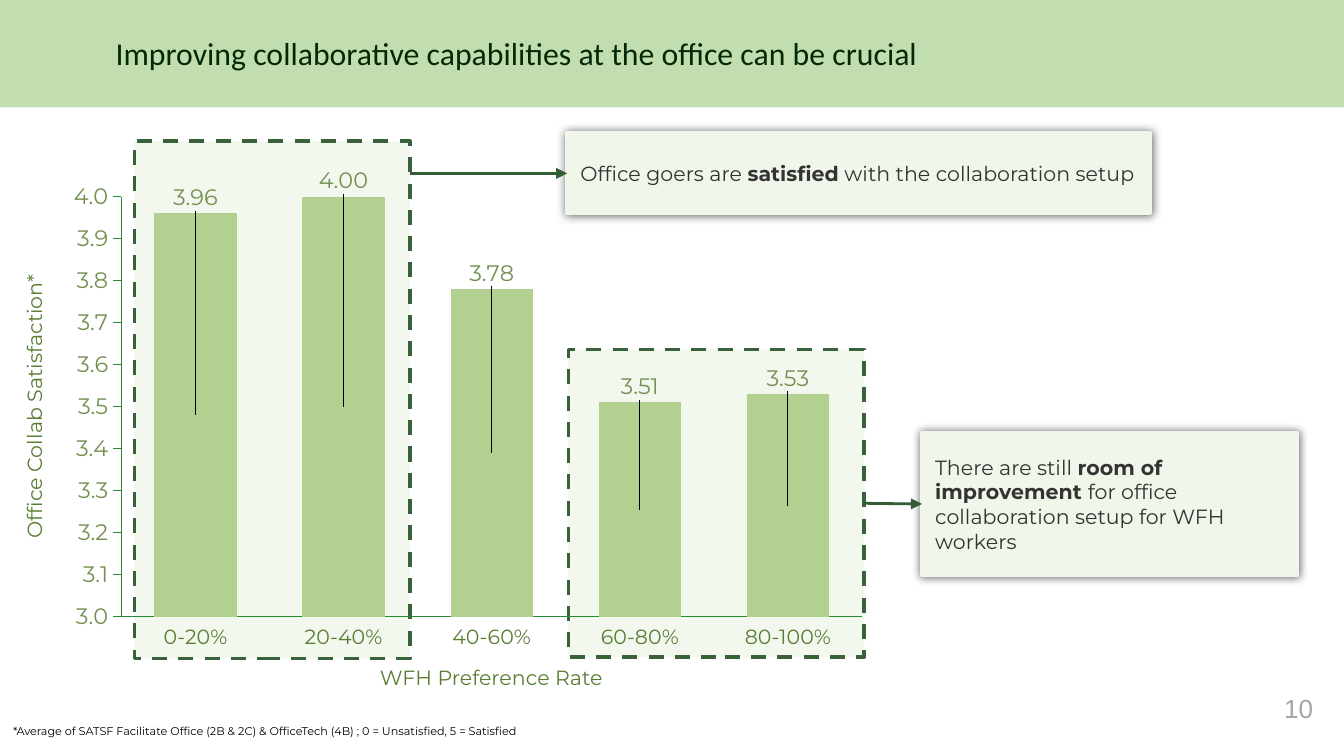
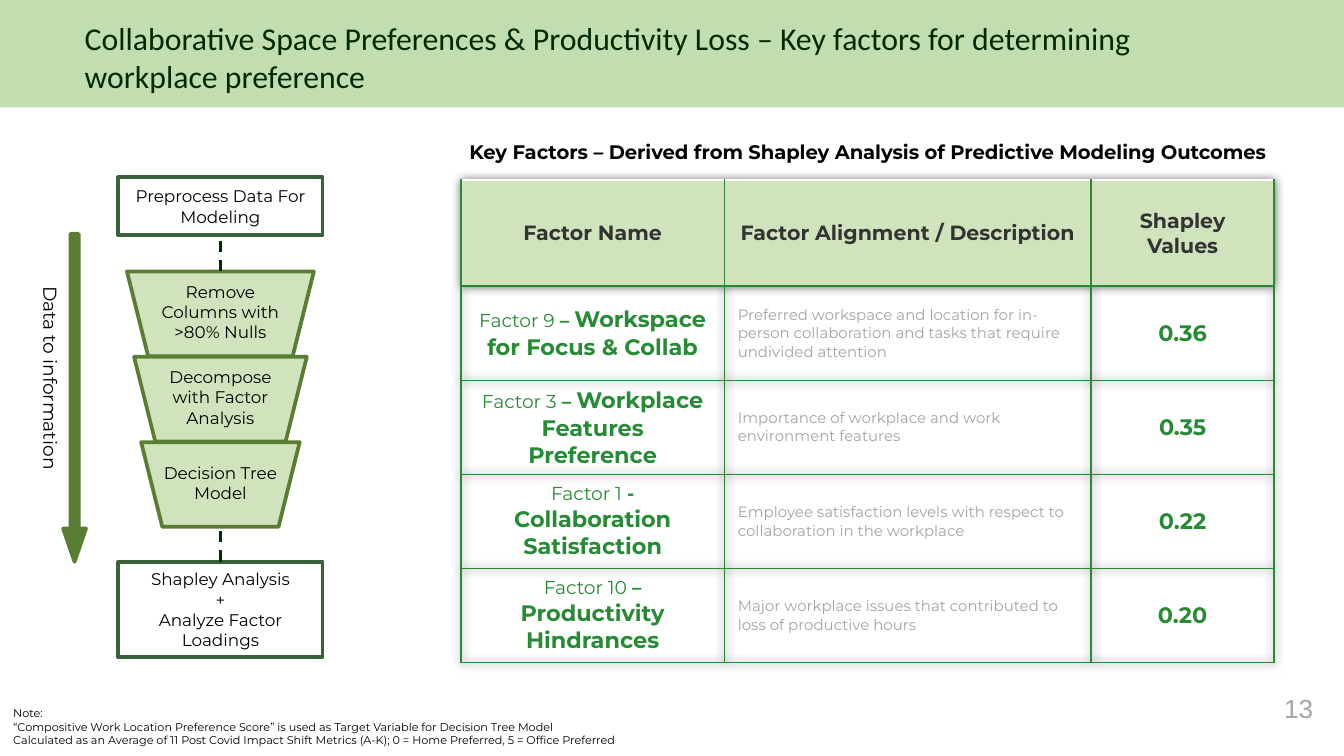
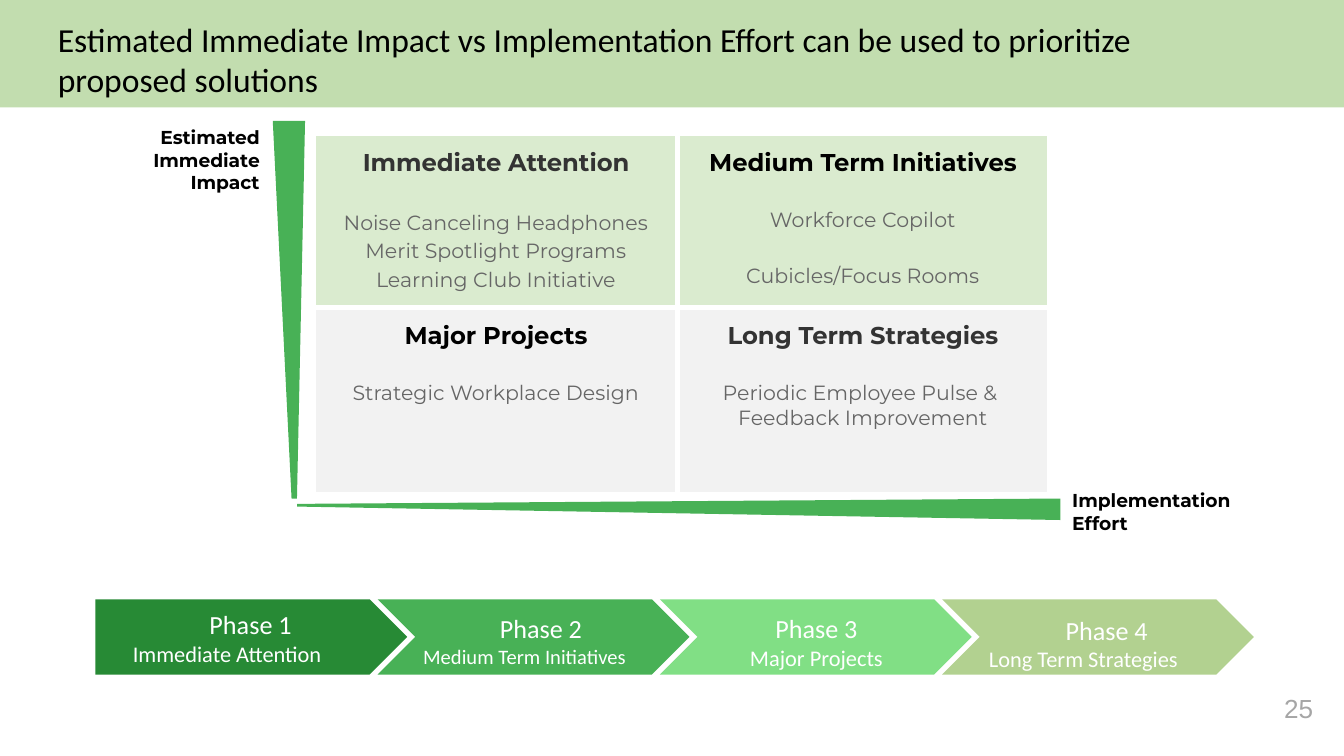
from collections import namedtuple
from dataclasses import dataclass

from lxml import etree
from pptx import Presentation
from pptx.chart.data import CategoryChartData
from pptx.dml.color import RGBColor
from pptx.enum.chart import XL_CHART_TYPE, XL_TICK_LABEL_POSITION, XL_TICK_MARK
from pptx.enum.dml import MSO_LINE
from pptx.enum.shapes import MSO_CONNECTOR, MSO_SHAPE
from pptx.enum.text import MSO_ANCHOR, MSO_AUTO_SIZE, PP_ALIGN
from pptx.oxml import parse_xml
from pptx.oxml.ns import nsdecls, qn
from pptx.util import Inches, Pt

LEFT, CENTER, RIGHT = PP_ALIGN.LEFT, PP_ALIGN.CENTER, PP_ALIGN.RIGHT
TOP, MIDDLE = MSO_ANCHOR.TOP, MSO_ANCHOR.MIDDLE
DASH = MSO_LINE.DASH
RECT, TRAPEZOID = MSO_SHAPE.RECTANGLE, MSO_SHAPE.TRAPEZOID
CHEVRON, PENTAGON = MSO_SHAPE.CHEVRON, MSO_SHAPE.PENTAGON
DOWN_ARROW = MSO_SHAPE.DOWN_ARROW
STRAIGHT = MSO_CONNECTOR.STRAIGHT
STACKED = XL_CHART_TYPE.COLUMN_STACKED
NO_LABELS = XL_TICK_LABEL_POSITION.NONE
TICK_NONE, TICK_OUT = XL_TICK_MARK.NONE, XL_TICK_MARK.OUTSIDE

Box = namedtuple("Box", "left top width height")
Run = namedtuple("Run", "text size bold")


def rgb(code):
    return RGBColor.from_string(code)


@dataclass(frozen=True)
class Theme:
    body_font: str = "Montserrat"
    title_font: str = "Calibri"
    number_font: str = "Arial"
    band: RGBColor = rgb("C2DDAF")
    title: RGBColor = rgb("032A06")
    black: RGBColor = rgb("000000")
    white: RGBColor = rgb("FFFFFF")
    ink: RGBColor = rgb("333333")
    muted: RGBColor = rgb("666666")
    faint: RGBColor = rgb("A3A3A3")
    page: RGBColor = rgb("A6A6A6")
    green: RGBColor = rgb("278A35")
    mid_green: RGBColor = rgb("48B156")
    light_green: RGBColor = rgb("81DF85")
    leaf: RGBColor = rgb("B2D190")
    olive: RGBColor = rgb("5A7D34")
    value: RGBColor = rgb("739052")
    forest: RGBColor = rgb("39623A")
    arrow: RGBColor = rgb("335D35")
    highlight: RGBColor = rgb("F3F8EF")
    callout: RGBColor = rgb("F0F6E9")
    header: RGBColor = rgb("D1E3BC")
    near: RGBColor = rgb("DAEBCF")
    far: RGBColor = rgb("F2F2F2")
    note_size: float = 6
    detail_size: float = 8
    step_size: float = 9
    label_size: float = 10
    text_size: float = 11
    figure_size: float = 12
    heading_size: float = 13
    page_size: float = 14
    title_size: float = 17


THEME = Theme()
SHADOW = ('<a:outerShdw %s blurRad="63500" dist="0" dir="0" algn="ctr" rotWithShape="0">'
          '<a:srgbClr val="000000"><a:alpha val="60000"/></a:srgbClr></a:outerShdw>' % nsdecls("a"))


def inches(box):
    return [Inches(length) for length in box]


def write(frame, paragraphs, size, color, align=LEFT, bold=None, font=THEME.body_font):
    for index, content in enumerate(paragraphs):
        paragraph = frame.paragraphs[0] if index == 0 else frame.add_paragraph()
        if isinstance(content, str):
            paragraph.text = content
        else:
            for part in content:
                run = paragraph.add_run()
                run.text = part.text
                run.font.bold = part.bold
                run.font.size = Pt(part.size)
        paragraph.alignment = align
        paragraph.font.name = font
        paragraph.font.size = Pt(size)
        paragraph.font.color.rgb = color
        paragraph.font.bold = bold


def set_insets(target, inset):
    target.margin_left = target.margin_right = Inches(inset)
    target.margin_top = target.margin_bottom = Inches(inset)


def add_text(slide, box, paragraphs, size, color, inset=None, anchor=TOP, wrap=True, **style):
    textbox = slide.shapes.add_textbox(*inches(box))
    frame = textbox.text_frame
    frame.word_wrap = wrap
    frame.vertical_anchor = anchor
    if inset is not None:
        set_insets(frame, inset)
    write(frame, paragraphs, size, color, **style)
    return textbox


def paint(shape, fill=None, line=None, width=2, dash=None):
    shape.shadow.inherit = False
    if fill is None:
        shape.fill.background()
    else:
        shape.fill.solid()
        shape.fill.fore_color.rgb = fill
    if line is None:
        shape.line.fill.background()
    else:
        shape.line.color.rgb = line
        shape.line.width = Pt(width)
        shape.line.dash_style = dash
    return shape


def add_shape(slide, kind, box, **style):
    return paint(slide.shapes.add_shape(kind, *inches(box)), **style)


def add_line(slide, start, end, color, dash=None, arrow=False):
    line = slide.shapes.add_connector(STRAIGHT, *inches(start + end))
    line.line.color.rgb = color
    line.line.width = Pt(1.5)
    line.line.dash_style = dash
    properties = line.element.spPr
    if arrow:
        etree.SubElement(properties.find(qn("a:ln")), qn("a:tailEnd"), type="triangle")
    etree.SubElement(properties, qn("a:effectLst"))
    return line


def add_polygon(slide, points, fill):
    corners = [tuple(inches(point)) for point in points]
    builder = slide.shapes.build_freeform(*corners[0])
    builder.add_line_segments(corners[1:], close=True)
    return paint(builder.convert_to_shape(), fill=fill)


def set_borders(cell, color, widths):
    properties = cell._tc.get_or_add_tcPr()
    sides = [side for side in "LRTB" if side in widths]
    for index, side in enumerate(sides):
        properties.insert(index, parse_xml(
            '<a:ln%s %s w="%d"><a:solidFill><a:srgbClr val="%s"/></a:solidFill></a:ln%s>'
            % (side, nsdecls("a"), Pt(widths[side]), color, side)))


def add_grid(slide, box, widths, heights):
    frame = slide.shapes.add_table(len(heights), len(widths), *inches(box))
    grid = frame.table
    grid.first_row = grid.horz_banding = False
    for column, width in zip(grid.columns, widths):
        column.width = Inches(width)
    for row, height in zip(grid.rows, heights):
        row.height = Inches(height)
    return grid


def add_band(prs, slide):
    band = add_shape(slide, RECT, Box(0, 0, 10, 0.8), fill=THEME.band)
    band.element.nvSpPr.cNvPr.set("id", "90")
    prs.slide_layouts[5].shapes.element.insert(2, band.element)


def start_slide(prs, title, box, number, size=THEME.title_size, color=THEME.title, anchor=TOP):
    slide = prs.slides.add_slide(prs.slide_layouts[5])
    heading = slide.shapes.title
    heading.left, heading.top, heading.width, heading.height = inches(box)
    frame = heading.text_frame
    frame.word_wrap = True
    frame.auto_size = MSO_AUTO_SIZE.NONE
    frame.vertical_anchor = anchor
    set_insets(frame, 0.1)
    write(frame, [title], size, color, font=THEME.title_font)
    add_text(slide, Box(9.27, 5.1, 0.6, 0.43), [str(number)], THEME.page_size, THEME.page,
             align=RIGHT, font=THEME.number_font)
    return slide


def manual_layout(x, y, size=None):
    extent = '<c:w val="%g"/><c:h val="%g"/>' % size if size else ""
    target = '<c:layoutTarget val="inner"/><c:xMode val="edge"/><c:yMode val="edge"/>' if size else ""
    return parse_xml('<c:layout %s><c:manualLayout>%s<c:x val="%g"/><c:y val="%g"/>%s'
                     '</c:manualLayout></c:layout>' % (nsdecls("c"), target, x, y, extent))


def lift_labels(chart, series, values, base, plot_height):
    series.data_labels.show_value = True
    for index in range(len(values)):
        font = series.points[index].data_label.font
        font.name, font.size = THEME.body_font, Pt(THEME.figure_size)
        font.color.rgb = THEME.value
    for label, value in zip(chart.element.findall(".//" + qn("c:dLbl")), values):
        label.insert(1, manual_layout(0, -((value - base) / 2 * plot_height + 0.03)))
        label.insert(2, parse_xml(
            '<c:numFmt %s formatCode="0.00" sourceLinked="0"/>' % nsdecls("c")))
    chart.element.find(".//" + qn("c:ser")).find(qn("c:dLbls")).append(parse_xml(
        '<c:extLst %s><c:ext uri="{CE6537A1-D6FC-4f65-9D91-7224C49458BB}" '
        'xmlns:c15="http://schemas.microsoft.com/office/drawing/2012/chart">'
        '<c15:showLeaderLines val="1"/></c:ext></c:extLst>' % nsdecls("c")))


def add_satisfaction_chart(slide, box):
    rates = ["0-20%", "20-40%", "40-60%", "60-80%", "80-100%"]
    scores = [3.96, 4.00, 3.78, 3.51, 3.53]
    plot_left, plot_width, plot_height = 0.09, 0.896, 0.816
    data = CategoryChartData()
    data.categories = [str(index + 1) for index in range(len(rates))]
    data.add_series("Series 1", scores)
    chart = slide.shapes.add_chart(STACKED, *inches(box), data).chart
    chart.has_legend = chart.has_title = False
    chart.font.name, chart.font.size = THEME.number_font, Pt(THEME.label_size)
    chart.font.color.rgb = THEME.green
    plot = chart.plots[0]
    plot.gap_width, plot.overlap, plot.vary_by_categories = 80, 100, False
    series = plot.series[0]
    series.format.fill.solid()
    series.format.fill.fore_color.rgb = THEME.leaf
    for axis, tick in ((chart.category_axis, TICK_NONE), (chart.value_axis, TICK_OUT)):
        axis.has_major_gridlines = False
        axis.major_tick_mark, axis.minor_tick_mark = tick, TICK_NONE
        axis.format.line.color.rgb = THEME.green
        axis.format.line.width = Pt(0.75)
    chart.category_axis.tick_label_position = NO_LABELS
    score_axis = chart.value_axis
    score_axis.minimum_scale, score_axis.maximum_scale, score_axis.major_unit = 3, 4, 0.1
    ticks = score_axis.tick_labels
    ticks.number_format, ticks.number_format_is_linked = '#,##0.0;"-"#,##0.0', False
    ticks.font.name, ticks.font.size = THEME.body_font, Pt(THEME.figure_size)
    ticks.font.color.rgb = THEME.value
    plot_area = chart.element.find(".//" + qn("c:plotArea"))
    for automatic in plot_area.findall(qn("c:layout")):
        plot_area.remove(automatic)
    plot_area.insert(0, manual_layout(plot_left, 0.108, (plot_width, plot_height)))
    lift_labels(chart, series, scores, 3, plot_height)

    def axis_text(place, words):
        return add_text(slide, place, [words], THEME.text_size, THEME.olive,
                        inset=0, wrap=False, align=CENTER)

    step = box.width * plot_width / len(rates)
    for index, rate in enumerate(rates):
        center = box.left + box.width * plot_left + step * (index + 0.5)
        axis_text(Box(center - 0.34, box.top + 3.59, 0.68, 0.18), rate)
    axis_text(Box(box.left + 2.47, box.top + 3.9, 1.67, 0.18), "WFH Preference Rate")
    score_title = axis_text(Box(box.left - 0.19, box.top + 0.99, 0.18, 1.97),
                            "Office Collab Satisfaction*")
    score_title.element.txBody.bodyPr.set("vert", "vert270")


def add_callout(slide, box, runs):
    callout = add_shape(slide, RECT, box, fill=THEME.callout, line=THEME.callout)
    callout.element.spPr.find(qn("a:effectLst")).append(parse_xml(SHADOW))
    frame = callout.text_frame
    frame.word_wrap = True
    frame.vertical_anchor = MIDDLE
    write(frame, [[Run(text, THEME.text_size, bold) for text, bold in runs]],
          THEME.text_size, THEME.ink)
    return callout


def build_collaboration(prs):
    slide = start_slide(prs, "Improving collaborative capabilities at the office can be crucial",
                        Box(0.76, 0.04, 8.51, 0.7), 10, anchor=MIDDLE)
    add_band(prs, slide)
    office_goers, home_workers = [
        add_shape(slide, RECT, box, fill=THEME.highlight, line=THEME.forest, dash=DASH)
        for box in (Box(1, 1.05, 2.05, 3.85), Box(4.23, 2.6, 2.2, 2.29))]
    add_satisfaction_chart(slide, Box(0.35, 1.05, 6.15, 3.83))
    satisfied = add_callout(slide, Box(4.22, 0.99, 4.34, 0.6), [
        ("Office goers are ", False), ("satisfied", True),
        (" with the collaboration setup", False)])
    improvable = add_callout(slide, Box(6.86, 3.22, 2.79, 1.06), [
        ("There are still ", False), ("room of improvement ", True),
        ("for office collaboration setup for WFH workers", False)])
    add_line(slide, (3.05, 1.29), (4.22, 1.29), THEME.arrow, arrow=True).end_connect(satisfied, 1)
    to_improvable = add_line(slide, (6.43, 3.75), (6.86, 3.75), THEME.arrow, arrow=True)
    to_improvable.begin_connect(home_workers, 3)
    to_improvable.end_connect(improvable, 1)
    add_text(slide, Box(0, 5.34, 5.15, 0.2),
             ["*Average of SATSF Facilitate Office (2B & 2C) & OfficeTech (4B) ; "
              "0 = Unsatisfied, 5 = Satisfied"], THEME.note_size, THEME.black)


def add_funnel(slide, box):
    center = box.left + 1.17

    def add_stage(top, height, lines):
        stage = add_shape(slide, RECT, Box(center - 0.76, box.top + top, 1.52, height),
                          line=THEME.forest)
        stage.text_frame.word_wrap = True
        stage.text_frame.vertical_anchor = MIDDLE
        write(stage.text_frame, lines, THEME.step_size, THEME.black, align=CENTER)
        return stage

    add_stage(0, 0.43, ["Preprocess Data For Modeling"])
    result = add_stage(2.86, 0.71, ["Shapley Analysis", "+", "Analyze Factor", "Loadings"])
    steps = [["Remove Columns with\n>80% Nulls"],
             ["Decompose", "with Factor", "Analysis"],
             ["Decision Tree Model"]]
    for index, lines in enumerate(steps):
        width, top = 1.39 - 0.105 * index, box.top + 0.7 + 0.635 * index
        funnel = add_shape(slide, TRAPEZOID, Box(center - width / 2, top, width, 0.63),
                           fill=THEME.header, line=THEME.olive)
        funnel.rotation = 180
        add_text(slide, Box(center - 0.63, top, 1.26, 0.6), lines, THEME.step_size,
                 THEME.black, anchor=MIDDLE, align=CENTER)
    add_line(slide, (center, box.top + 0.47), (center, box.top + 0.72), THEME.title, DASH)
    add_line(slide, (center, box.top + 2.63), (center, box.top + 2.86),
             THEME.title, DASH).end_connect(result, 0)
    progress = add_shape(slide, DOWN_ARROW, Box(box.left, box.top + 0.42, 0.17, 2.44),
                         fill=THEME.olive, line=THEME.olive)
    progress.adjustments[0], progress.adjustments[1] = 0.36, 1.45
    caption = add_text(slide, Box(box.left - 1.35, box.top + 1.82, 2.5, 0.28),
                       ["Data to information"], THEME.label_size, THEME.black)
    caption.rotation = 90


def add_factor_table(slide, box):
    headings = ["Factor Name", "Factor Alignment / Description", "Shapley Values"]
    factors = [
        ("Factor 9", " – ", "Workspace for Focus & Collab",
         "Preferred workspace and location for in-person collaboration and tasks "
         "that require undivided attention", "0.36"),
        ("Factor 3", " – ", "Workplace Features Preference",
         "Importance of workplace and work environment features", "0.35"),
        ("Factor 1", " - ", "Collaboration Satisfaction",
         "Employee satisfaction levels with respect to collaboration in the workplace", "0.22"),
        ("Factor 10", " – ", "Productivity Hindrances",
         "Major workplace issues that contributed to loss of productive hours", "0.20")]
    grid = add_grid(slide, box, [1.96, 2.73, 1.36], [0.79] + [0.7] * len(factors))
    grid._tbl.tblPr.insert(0, parse_xml("<a:effectLst %s>%s</a:effectLst>" % (nsdecls("a"), SHADOW)))

    def fill_cell(row, column, content, size, color, align=CENTER, bold=None):
        cell = grid.cell(row, column)
        cell.vertical_anchor = MIDDLE
        if row == 0:
            cell.fill.solid()
            cell.fill.fore_color.rgb = THEME.header
        else:
            cell.fill.background()
        set_borders(cell, THEME.green, dict.fromkeys("LRB" if row == 0 else "LRTB", 1))
        write(cell.text_frame, [content], size, color, align, bold)

    for column, heading in enumerate(headings):
        fill_cell(0, column, heading, THEME.text_size, THEME.ink, bold=True)
    for row, (code, dash, name, description, shapley) in enumerate(factors, 1):
        label = [Run(code, THEME.label_size, False), Run(dash, THEME.label_size, True),
                 Run(name, THEME.figure_size, True)]
        fill_cell(row, 0, label, THEME.label_size, THEME.green)
        fill_cell(row, 1, description, THEME.detail_size, THEME.faint, LEFT)
        fill_cell(row, 2, shapley, THEME.figure_size, THEME.green, bold=True)


def build_key_factors(prs):
    slide = start_slide(prs, "Collaborative Space Preferences & Productivity Loss – "
                        "Key factors for determining workplace preference",
                        Box(0.53, 0.04, 9.02, 0.72), 13)
    add_funnel(slide, Box(0.47, 1.32, 1.93, 3.57))
    add_factor_table(slide, Box(3.43, 1.34, 6.05, 3.59))
    add_text(slide, Box(0, 5.21, 9.09, 0.4),
             ["Note:\n“Compositive Work Location Preference Score” is used as Target Variable "
              "for Decision Tree Model\nCalculated as an Average of 11 Post Covid Impact Shift "
              "Metrics (A-K); 0 = Home Preferred, 5 = Office Preferred"],
             THEME.note_size, THEME.black)
    add_text(slide, Box(3.32, 0.99, 6.28, 0.28),
             ["Key Factors – Derived from Shapley Analysis of Predictive Modeling Outcomes"],
             10.5, THEME.black, align=CENTER, bold=True)


def add_priority_matrix(slide, box):
    quadrants = [
        [("Immediate Attention", THEME.ink, 17.5, 2,
          ["Noise Canceling Headphones", "Merit Spotlight Programs", "Learning Club Initiative"]),
         ("Medium Term Initiatives", THEME.black, 16, 16.5,
          ["Workforce Copilot", "Cubicles/Focus Rooms"])],
        [("Major Projects", THEME.black, 16, 0, ["Strategic Workplace Design"]),
         ("Long Term Strategies", THEME.ink, 16, 0,
          ["Periodic Employee Pulse & \nFeedback Improvement"])]]
    grid = add_grid(slide, box, [2.7, 2.76], [1.29, 1.38])
    for row, (fill, band) in enumerate(zip((THEME.near, THEME.far), quadrants)):
        for column, (heading, color, first_gap, gap, items) in enumerate(band):
            cell = grid.cell(row, column)
            set_insets(cell, 0.1)
            cell.fill.solid()
            cell.fill.fore_color.rgb = fill
            set_borders(cell, THEME.white, {
                "L": 3 if column else 1.5, "R": 1.5 if column else 3,
                "T": 3 if row else 1.5, "B": 1.5 if row else 3})
            frame = cell.text_frame
            write(frame, [heading] + items, THEME.text_size, THEME.muted, CENTER)
            title, *entries = frame.paragraphs
            title.font.size, title.font.bold = Pt(THEME.heading_size), True
            title.font.color.rgb = color
            for index, entry in enumerate(entries):
                entry.space_before = Pt(gap if index else first_gap)


def add_matrix_axes(slide, box):
    x, y = box.left, box.top
    add_polygon(slide, [(x + 0.24, y), (x, y), (x + 0.14, y + 2.81), (x + 0.18, y + 2.81)],
                THEME.mid_green)
    add_polygon(slide, [(x + 5.86, y + 2.81), (x + 5.86, y + 2.97),
                        (x + 0.18, y + 2.87), (x + 0.18, y + 2.85)], THEME.mid_green)
    for place, words, align in (
            (Box(x - 1.52, y - 0.06, 1.52, 0.7), "Estimated Immediate Impact", RIGHT),
            (Box(x + 5.85, y + 2.64, 1.43, 0.53), "Implementation Effort", LEFT)):
        add_text(slide, place, [words], THEME.label_size, THEME.black,
                 inset=0.1, align=align, bold=True)


def add_phases(slide, box):
    phases = [("Immediate Attention", THEME.green, 0.18, -0.03, 12, LEFT),
              ("Medium Term Initiatives", THEME.mid_green, 2.34, 0, 11, LEFT),
              ("Major Projects", THEME.light_green, 4.39, 0, 12, CENTER),
              ("Long Term Strategies", THEME.leaf, 6.55, 0.01, 12, LEFT)]
    for index, phase in enumerate(phases):
        add_shape(slide, CHEVRON if index else PENTAGON,
                  Box(box.left + 2.1 * index, box.top, 2.32, box.height), fill=phase[1])
    for number, (name, _, shift, drop, size, align) in enumerate(phases, 1):
        label = add_text(slide, Box(box.left + shift, box.top + drop, 1.95, box.height),
                         ["Phase %d" % number, name], size, THEME.white, inset=0.1,
                         align=CENTER, font=THEME.title_font)
        heading, detail = label.text_frame.paragraphs
        heading.font.size = Pt(THEME.page_size)
        detail.alignment = align


def build_priorities(prs):
    slide = start_slide(prs, "Estimated Immediate Impact vs Implementation Effort can be used "
                        "to prioritize proposed solutions",
                        Box(0.33, 0.04, 9.04, 0.72), 25, size=18, color=THEME.black)
    add_priority_matrix(slide, Box(2.34, 1, 5.46, 2.67))
    add_matrix_axes(slide, Box(2.03, 0.9, 5.86, 2.97))
    add_phases(slide, Box(0.71, 4.46, 8.62, 0.56))


def main():
    prs = Presentation()
    prs.slide_width = Inches(10)
    prs.slide_height = prs.slide_width * 9 // 16
    build_collaboration(prs)
    build_key_factors(prs)
    build_priorities(prs)
    prs.save("out.pptx")


if __name__ == "__main__":
    main()
